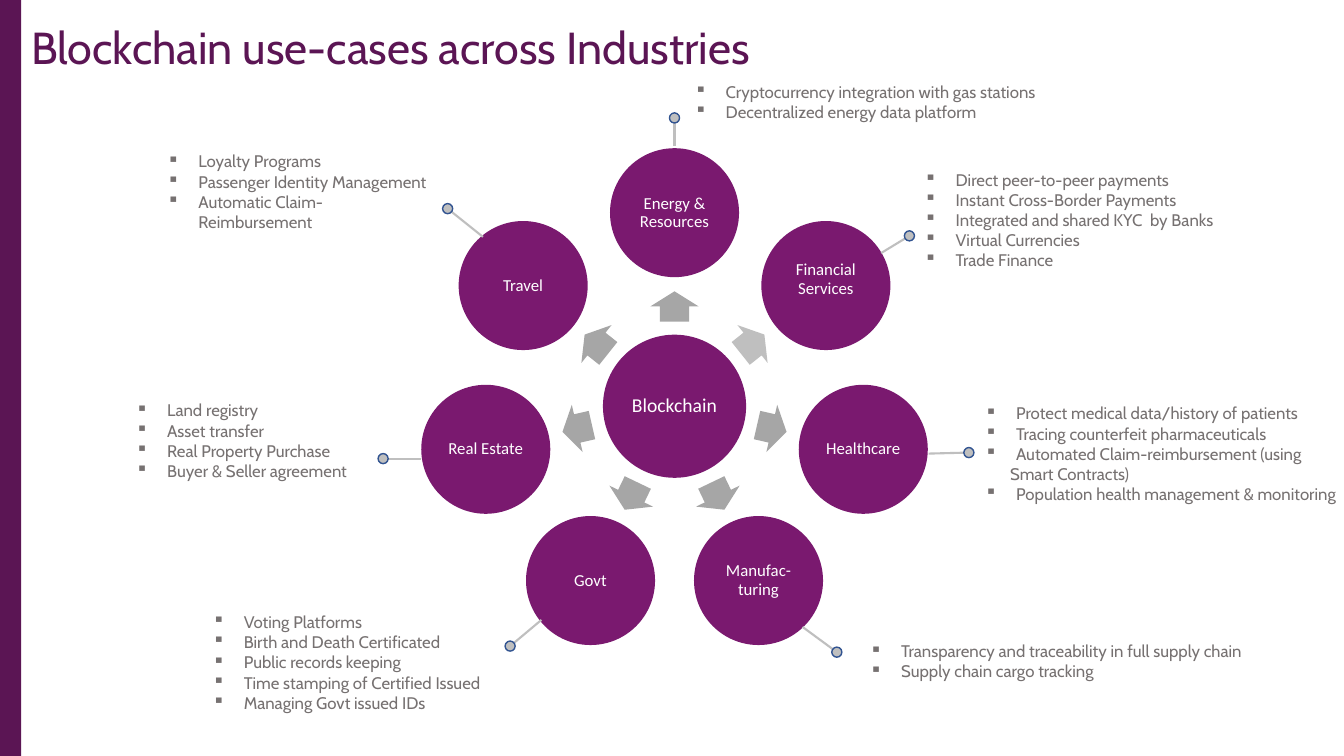
from dataclasses import dataclass
from math import cos, radians, sin

from lxml import etree
from pptx import Presentation
from pptx.dml.color import RGBColor
from pptx.enum.shapes import MSO_CONNECTOR, MSO_SHAPE
from pptx.enum.text import MSO_ANCHOR, PP_ALIGN
from pptx.oxml.ns import qn
from pptx.util import Inches, Pt

RECT, OVAL, ARROW = MSO_SHAPE.RECTANGLE, MSO_SHAPE.OVAL, MSO_SHAPE.RIGHT_ARROW
STRAIGHT = MSO_CONNECTOR.STRAIGHT
MIDDLE, TOP = MSO_ANCHOR.MIDDLE, MSO_ANCHOR.TOP
LEFT, CENTER = PP_ALIGN.LEFT, PP_ALIGN.CENTER

DARK, PURPLE, WHITE = "5B1554", "7A196F", "FFFFFF"
GRAY, PALE, NAVY, INK = "A6A6A6", "BFBFBF", "325491", "767171"

# Grid of tenths of an inch
CELL = 0.1
COLS, ROWS = 133.3, 75
HUB_X, HUB_Y, HUB_SIZE = 66.9, 40.3, 14.2
RING, DISC = 19.2, 12.8
ARROW_RING, ARROW_LONG, ARROW_WIDE = 9.9, 3, 4.8
DOT = 1
LINE_ROWS = 2
INDENT, PLAIN_INDENT = 3.1, 2.5


@dataclass
class Sector:
    name: str
    dot: tuple[float, float]
    root: tuple[float, float]
    note: tuple[float, float, float]
    items: list[str]
    arrow: str = GRAY
    lift: float = 0
    plain: int = -1


# Clockwise from the top
SECTORS = [
    Sector("Energy & Resources", (66.9, 11.7), (66.9, 14.5), (67.9, 7.6, 35.3),
           ["Cryptocurrency integration with gas stations",
            "Decentralized energy data platform"]),
    Sector("Financial Services", (90.2, 23.4), (87.4, 25.1), (90.7, 16.3, 30.5),
           ["Direct peer-to-peer payments",
            "Instant Cross-Border Payments",
            "Integrated and shared KYC  by Banks",
            "Virtual Currencies",
            "Trade Finance"], arrow=PALE, lift=1.2),
    Sector("Healthcare", (96.1, 44.9), (92.1, 45), (96.7, 39.5, 36.6),
           ["Protect medical data/history of patients",
            "Tracing counterfeit pharmaceuticals",
            "Automated Claim-reimbursement (using",
            "Smart Contracts)",
            "Population health management & monitoring"], plain=3),
    Sector("Manufac- turing", (83, 64.7), (79.6, 62.2), (85.3, 63.1, 38.7),
           ["Transparency and traceability in full supply chain",
            "Supply chain cargo tracking"]),
    Sector("Govt", (50.6, 64.1), (53.7, 61.5), (20.1, 60.2, 28),
           ["Voting Platforms",
            "Birth and Death Certificated",
            "Public records keeping",
            "Time stamping of Certified Issued",
            "Managing Govt issued IDs"]),
    Sector("Real Estate", (38, 45.5), (41.8, 45.5), (12.5, 39.2, 22.4),
           ["Land registry",
            "Asset transfer",
            "Real Property Purchase",
            "Buyer & Seller agreement"]),
    Sector("Travel", (44.4, 20.7), (47.9, 23.5), (15.6, 14.5, 27.5),
           ["Loyalty Programs",
            "Passenger Identity Management",
            "Automatic Claim-Reimbursement"]),
]


def span(cells: float) -> int:
    return Inches(cells * CELL)


def tint(code: str) -> RGBColor:
    return RGBColor.from_string(code)


def style(frame, size: float, font: str, color: str, align=LEFT, space: float = 1) -> None:
    for para in frame.paragraphs:
        para.alignment = align
        para.line_spacing = space
        for run in para.runs:
            run.font.size = Pt(size)
            run.font.name = font
            run.font.color.rgb = tint(color)


def draw_shape(slide, kind, x: float, y: float, wide: float, high: float, fill: str):
    """Draw a flat shape centred on x, y."""
    shape = slide.shapes.add_shape(
        kind, span(x - wide / 2), span(y - high / 2), span(wide), span(high))
    shape.shadow.inherit = False
    shape.fill.solid()
    shape.fill.fore_color.rgb = tint(fill)
    shape.line.fill.background()
    return shape


def draw_disc(slide, x: float, y: float, wide: float, text: str,
              size: float, lift: float = 0) -> None:
    frame = draw_shape(slide, OVAL, x, y, wide, wide, PURPLE).text_frame
    frame.word_wrap = True
    frame.vertical_anchor = MIDDLE
    frame.margin_left = frame.margin_right = frame.margin_top = span(0.2)
    frame.margin_bottom = span(0.2 + lift)
    frame.text = text
    style(frame, size, "Calibri", WHITE, CENTER, 0.9)


def draw_text(slide, x: float, y: float, wide: float, high: float, text: str, anchor=TOP):
    frame = slide.shapes.add_textbox(span(x), span(y), span(wide), span(high)).text_frame
    frame.word_wrap = True
    frame.vertical_anchor = anchor
    frame.margin_right = 0
    frame.text = text
    return frame


def draw_note(slide, part: Sector) -> None:
    x, y, wide = part.note
    high = len(part.items) * LINE_ROWS + 1
    frame = draw_text(slide, x, y, wide, high, "\n".join(part.items))
    for i, para in enumerate(frame.paragraphs):
        props = para._p.get_or_add_pPr()
        if i == part.plain:
            props.set("marL", str(span(PLAIN_INDENT)))
            continue
        props.set("marL", str(span(INDENT)))
        props.set("indent", str(-span(INDENT)))
        etree.SubElement(props, qn("a:buChar")).set("char", "▪")
    style(frame, 12, "Cabin", INK)


def draw_lead(slide, part: Sector) -> None:
    """Draw the line from a disc out to its dot."""
    ends = [span(n) for n in part.dot + part.root]
    line = slide.shapes.add_connector(STRAIGHT, *ends)
    line.line.color.rgb = tint(PALE)
    line.line.width = Pt(1.5)
    etree.SubElement(line._element.spPr, qn("a:effectLst"))
    dot = draw_shape(slide, OVAL, *part.dot, DOT, DOT, PALE)
    dot.line.color.rgb = tint(NAVY)
    dot.line.width = Pt(1)


def draw_sector(slide, part: Sector, angle: float) -> None:
    across, down = cos(radians(angle)), sin(radians(angle))
    arrow = draw_shape(slide, ARROW, HUB_X + ARROW_RING * across,
                       HUB_Y + ARROW_RING * down, ARROW_LONG, ARROW_WIDE, part.arrow)
    arrow.adjustments[0], arrow.adjustments[1] = 0.6, 0.5
    arrow.rotation = angle % 360
    draw_disc(slide, HUB_X + RING * across, HUB_Y + RING * down,
              DISC, part.name, 12, part.lift)
    draw_lead(slide, part)
    draw_note(slide, part)


def main() -> None:
    deck = Presentation()
    deck.slide_width, deck.slide_height = span(COLS), span(ROWS)
    slide = deck.slides.add_slide(deck.slide_layouts[6])

    # Title and side band
    title = draw_text(slide, 2.1, 0.5, 115, 8.9,
                      "Blockchain use-cases across Industries", MIDDLE)
    style(title, 32, "Cabin", DARK, space=0.9)
    draw_shape(slide, RECT, 1.05, ROWS / 2, 2.1, ROWS, DARK)

    # Hub and its ring of sectors
    draw_disc(slide, HUB_X, HUB_Y, HUB_SIZE, "Blockchain", 14)
    for i, part in enumerate(SECTORS):
        draw_sector(slide, part, i * 360 / len(SECTORS) - 90)

    deck.save("out.pptx")


if __name__ == "__main__":
    main()
